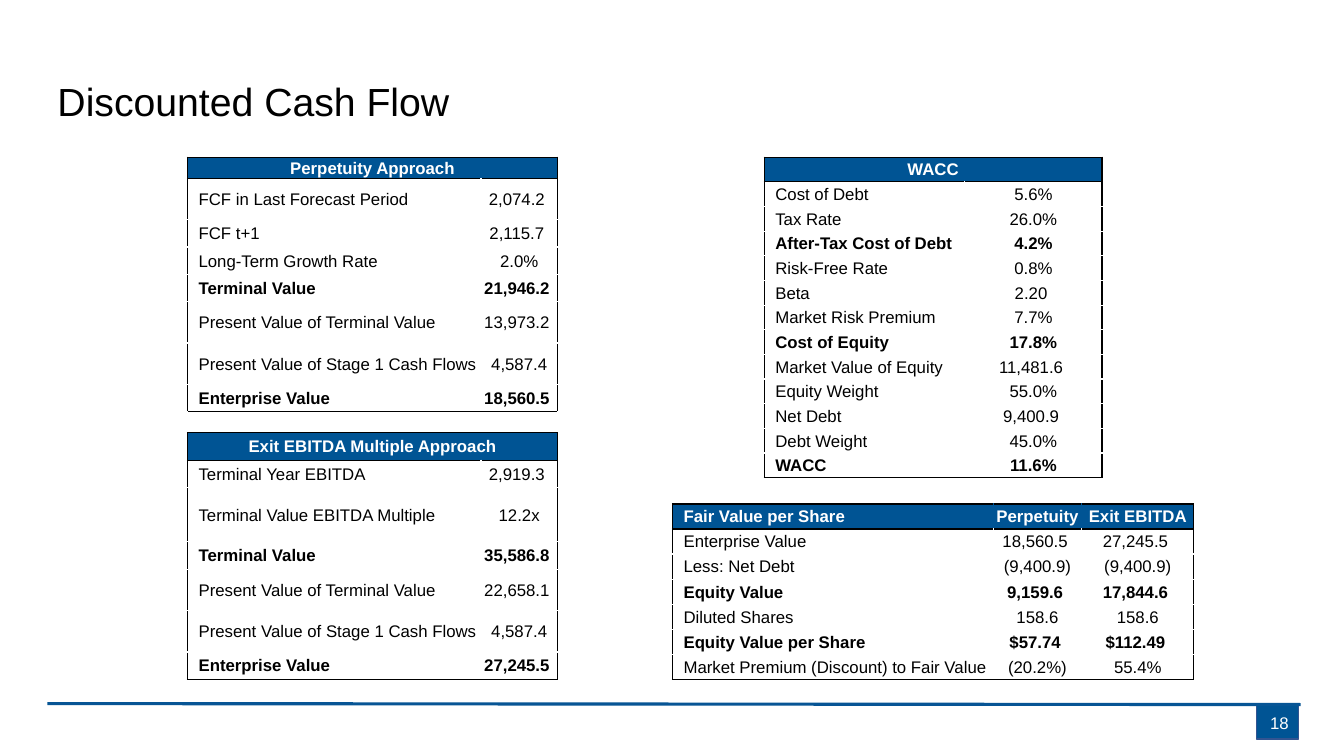
from dataclasses import dataclass

from lxml.etree import SubElement
from pptx import Presentation
from pptx.dml.color import RGBColor
from pptx.enum.shapes import MSO_CONNECTOR as Connector, MSO_SHAPE as Shape
from pptx.enum.text import MSO_ANCHOR as Anchor, PP_ALIGN as Align
from pptx.oxml.ns import qn
from pptx.util import Emu, Pt

BLUE, BLACK, WHITE = "005494", "000000", "FFFFFF"
FONT = "Arial"


@dataclass(frozen=True)
class Row:
    cells: tuple[str, ...]
    height: int = 27
    bold: bool = False
    header: bool = False

    @property
    def spacer(self) -> bool:
        return not self.cells

    @property
    def banner(self) -> bool:
        return self.header and len(self.cells) == 1


@dataclass(frozen=True)
class Panel:
    """A table whose row heights share its total height in proportion."""
    left: int
    top: int
    height: int
    columns: tuple[int, ...]
    rows: tuple[Row, ...]


def header(*cells: str, height: int = 27) -> Row:
    return Row(cells, height, bold=True, header=True)


def total(*cells: str) -> Row:
    return Row(cells, bold=True)


def item(*cells: str, height: int = 27) -> Row:
    return Row(cells, height)


PANELS = (
    Panel(758, 156, 318, (199, 136), (
        header("WACC"),
        item("Cost of Debt", "5.6%"),
        item("Tax Rate", "26.0%"),
        total("After-Tax Cost of Debt", "4.2%"),
        item("Risk-Free Rate", "0.8%"),
        item("Beta", "2.20 "),
        item("Market Risk Premium", "7.7%"),
        total("Cost of Equity", "17.8%"),
        item("Market Value of Equity", "11,481.6 "),
        item("Equity Weight", "55.0%"),
        item("Net Debt", "9,400.9 "),
        item("Debt Weight", "45.0%"),
        total("WACC", "11.6%"),
    )),
    Panel(667, 500, 174, (318, 88, 111), (
        header("Fair Value per Share", "Perpetuity", "Exit EBITDA"),
        item("Enterprise Value", "18,560.5 ", "27,245.5 "),
        item("Less: Net Debt", "(9,400.9)", "(9,400.9)"),
        total("Equity Value", "9,159.6 ", "17,844.6 "),
        item("Diluted Shares", "158.6", "158.6"),
        total("Equity Value per Share", "$57.74 ", "$112.49 "),
        item("Market Premium (Discount) to Fair Value", "(20.2%)", "55.4%"),
    )),
    Panel(186, 156, 518, (291, 76), (
        header("Perpetuity Approach", height=21),
        item("FCF in Last Forecast Period", "2,074.2 ", height=41),
        item("FCF t+1", "2,115.7 "),
        item("Long-Term Growth Rate", "2.0%"),
        total("Terminal Value", "21,946.2 "),
        item("Present Value of Terminal Value", "13,973.2 ", height=41),
        item("Present Value of Stage 1 Cash Flows", "4,587.4", height=41),
        total("Enterprise Value", "18,560.5 "),
        item(height=21),
        header("Exit EBITDA Multiple Approach"),
        item("Terminal Year EBITDA", "2,919.3 "),
        item("Terminal Value EBITDA Multiple", "12.2x", height=54),
        total("Terminal Value", "35,586.8 "),
        item("Present Value of Terminal Value", "22,658.1 ", height=41),
        item("Present Value of Stage 1 Cash Flows", "4,587.4", height=41),
        total("Enterprise Value", "27,245.5 "),
    )),
)


def px(length: float) -> Emu:
    return Emu(round(length * 9144))


def rgb(colour: str) -> RGBColor:
    return RGBColor.from_string(colour)


def write(frame, text: str, *, size: int = 12, colour: str = BLACK, bold: bool = False,
          align=Align.LEFT, spacing: float = 1.0) -> None:
    paragraph = frame.paragraphs[0]
    paragraph.alignment = align
    paragraph.line_spacing = spacing
    if not text:
        SubElement(paragraph._p, qn("a:endParaRPr"), sz=str(size * 100))
        return
    run = paragraph.add_run()
    run.text = text
    run.font.name, run.font.size, run.font.bold = FONT, Pt(size), bold
    run.font.color.rgb = rgb(colour)


def set_borders(cell, **colours: str) -> None:
    properties = cell._tc.get_or_add_tcPr()
    for side, colour in colours.items():
        border = SubElement(properties, qn(f"a:ln{side}"), w=str(Pt(1)))
        SubElement(SubElement(border, qn("a:solidFill")), qn("a:srgbClr"), val=colour)


def draw_cell(table, panel: Panel, r: int, c: int) -> None:
    row, cell = panel.rows[r], table.cell(r, c)
    last_row, last_column = len(panel.rows) - 1, len(panel.columns) - 1
    inner = BLUE if row.header else WHITE
    outer = WHITE if row.spacer else BLACK
    framed = row.header or row.spacer
    set_borders(
        cell,
        L=outer if c == 0 else inner,
        R=outer if c == last_column or row.banner else inner,
        T=BLACK if framed or panel.rows[r - 1].header else WHITE,
        B=BLACK if framed or r == last_row or panel.rows[r + 1].spacer else WHITE,
    )
    if row.header:
        cell.fill.solid()
        cell.fill.fore_color.rgb = rgb(BLUE)
    else:
        cell.fill.background()
    label = c == 0 and not row.banner
    cell.margin_left = px(11 if label else 1)
    cell.margin_right = cell.margin_top = px(1)
    cell.margin_bottom = 0
    cell.vertical_anchor = Anchor.MIDDLE
    write(cell.text_frame, row.cells[c] if c < len(row.cells) else "",
          colour=WHITE if row.header else BLACK, bold=row.bold,
          align=Align.LEFT if label else Align.CENTER)


def draw_panel(slide, panel: Panel) -> None:
    table = slide.shapes.add_table(
        len(panel.rows), len(panel.columns), px(panel.left), px(panel.top),
        px(sum(panel.columns)), px(panel.height)).table
    table.first_row = table.horz_banding = False
    for column, width in zip(table.columns, panel.columns):
        column.width = px(width)
    scale = panel.height / sum(row.height for row in panel.rows)
    for r, row in enumerate(panel.rows):
        table.rows[r].height = px(row.height * scale)
        for c in range(len(panel.columns)):
            draw_cell(table, panel, r, c)
        if row.banner:
            table.cell(r, 0).merge(table.cell(r, len(panel.columns) - 1))


def draw_footer(slide) -> None:
    badge = slide.shapes.add_shape(Shape.RECTANGLE, px(1246), px(698), px(42), px(35))
    badge.shadow.inherit = False
    badge.fill.solid()
    badge.fill.fore_color.rgb = rgb(BLUE)
    badge.line.color.rgb = rgb("325491")
    badge.line.width = Pt(1)

    rule = slide.shapes.add_connector(Connector.STRAIGHT, px(1290), px(699), px(47), px(698))
    rule.line.color.rgb = rgb("075595")
    rule.line.width = Pt(2.25)
    SubElement(rule._element.spPr, qn("a:effectLst"))

    page_number = slide.shapes.add_textbox(px(1245), px(699), px(43), px(37)).text_frame
    page_number.word_wrap = True
    page_number.vertical_anchor = Anchor.MIDDLE
    write(page_number, "18", colour=WHITE, align=Align.RIGHT)


def main() -> None:
    deck = Presentation()
    deck.slide_width, deck.slide_height = px(1333), px(750)
    slide = deck.slides.add_slide(deck.slide_layouts[5])
    draw_footer(slide)
    title = slide.shapes.title
    title.left, title.top, title.width, title.height = px(47), px(54), px(1112), px(98)
    title.text_frame.vertical_anchor = Anchor.MIDDLE
    write(title.text_frame, "Discounted Cash Flow", size=28, spacing=0.9)
    for panel in PANELS:
        draw_panel(slide, panel)
    deck.save("out.pptx")


if __name__ == "__main__":
    main()
